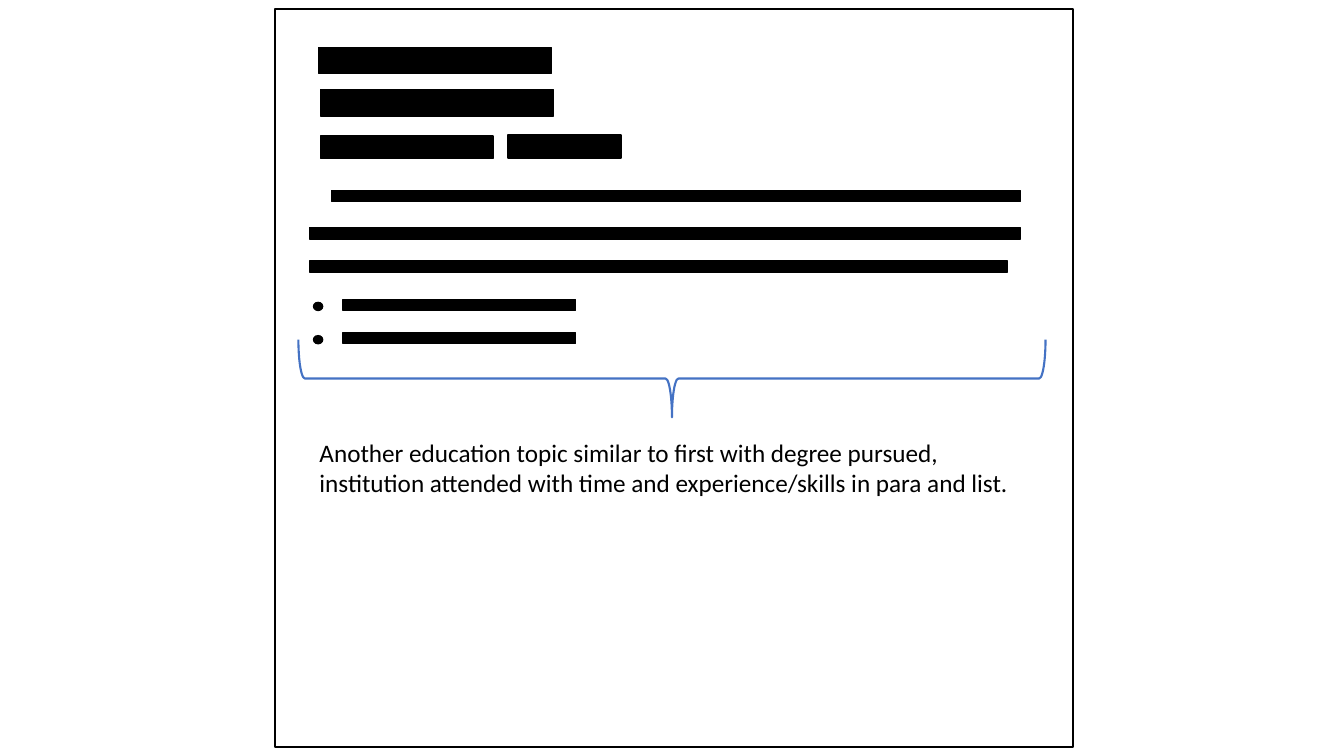
from pptx import Presentation
from pptx.dml.color import RGBColor
from pptx.enum.shapes import MSO_SHAPE as Shape
from pptx.enum.text import MSO_AUTO_SIZE as AutoSize
from pptx.util import Inches, Pt

BLACK, BLUE = "000000", "4472C4"
CAPTION = ("Another education topic similar to first with degree pursued, "
           "institution attended with time and experience/skills in para and list.")

# Each bar is left, top, width, height in inches
HEADING_BARS = [
    (3.16, 0.47, 2.31, 0.26),
    (3.18, 0.89, 2.31, 0.26),
    (3.18, 1.35, 1.71, 0.22),
    (5.04, 1.34, 1.12, 0.23),
]
LINE_HEIGHT = 0.11
PARAGRAPH_LINES = [(3.29, 1.89, 6.83), (3.07, 2.26, 7.05), (3.07, 2.59, 6.92)]
LIST_TOPS = [2.97, 3.3]


def color(code):
    """Turn a hex string into a colour."""
    return RGBColor.from_string(code)


def add_figure(page, kind, place, fill=None, line=BLACK, weight=1.0):
    """Add a preset shape at (left, top, width, height) in inches."""
    figure = page.shapes.add_shape(kind, *map(Inches, place))
    figure.shadow.inherit = False
    if fill:
        figure.fill.solid()
        figure.fill.fore_color.rgb = color(fill)
    else:
        figure.fill.background()
    figure.line.color.rgb = color(line)
    figure.line.width = Pt(weight)
    return figure


def add_caption(page, text, place):
    """Add the wrapped explanation under the brace."""
    box = page.shapes.add_textbox(*map(Inches, place))
    box.text_frame.word_wrap = True
    box.text_frame.auto_size = AutoSize.SHAPE_TO_FIT_TEXT
    para = box.text_frame.paragraphs[0]
    para.text = text
    para.font.name = "Calibri"
    para.font.size = Pt(18)
    para.font.color.rgb = color(BLACK)


deck = Presentation()
deck.slide_width, deck.slide_height = Inches(13.33), Inches(7.5)
page = deck.slides.add_slide(deck.slide_layouts[6])

add_figure(page, Shape.RECTANGLE, (2.73, 0.09, 7.91, 7.32), weight=1.5)
add_caption(page, CAPTION, (3.07, 4.29, 7.19, 0.71))
brace = add_figure(page, Shape.LEFT_BRACE, (6.28, 0.05, 0.77, 7.41),
                   line=BLUE, weight=1.5)
brace.rotation = 270

text_bars = [(*bar, LINE_HEIGHT) for bar in PARAGRAPH_LINES]
list_bars = [(3.4, top, 2.31, LINE_HEIGHT) for top in LIST_TOPS]
for bar in HEADING_BARS + text_bars + list_bars:
    add_figure(page, Shape.RECTANGLE, bar, BLACK)
for top in LIST_TOPS:
    add_figure(page, Shape.OVAL, (3.11, top + 0.03, 0.09, 0.08), BLACK)

deck.save("out.pptx")
